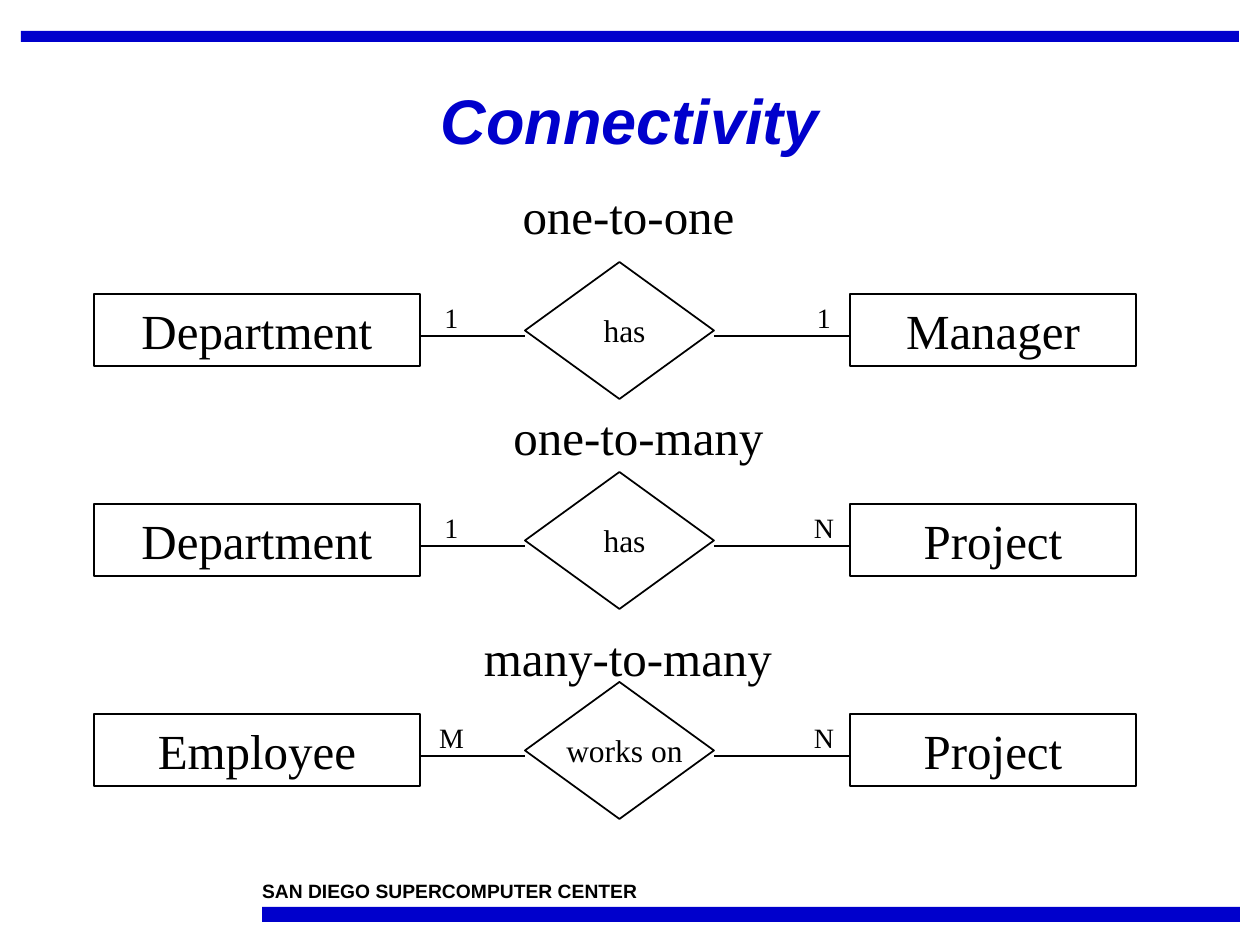
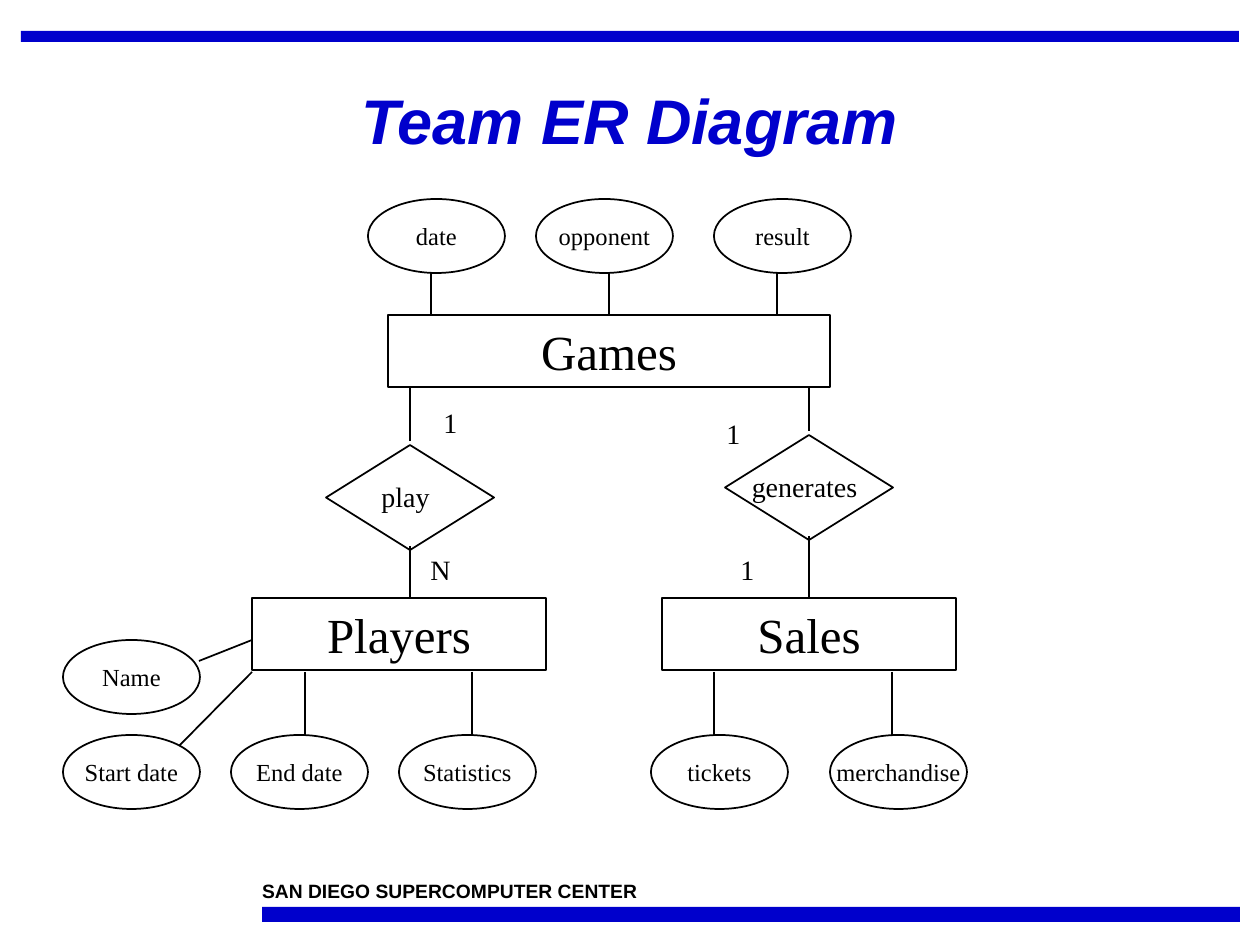
from pptx import Presentation
from pptx.dml.color import RGBColor
from pptx.enum.shapes import MSO_CONNECTOR, MSO_SHAPE as SHAPE
from pptx.enum.text import MSO_ANCHOR, PP_ALIGN
from pptx.oxml.ns import qn
from pptx.util import Pt
from lxml import etree

PX = 914400 / 126
BLUE = RGBColor(0x00, 0x00, 0xCC)
BLACK = RGBColor(0x00, 0x00, 0x00)
SERIF, SANS = "Times New Roman", "Arial"


def add_box(s, kind, x, y, w, h, text="", size=28):
    """Add an outlined shape, or a text box without margins when kind is None."""
    at = [round(v * PX) for v in (x, y, w, h)]
    if kind is None:
        sp = s.shapes.add_textbox(*at)
        tf = sp.text_frame
        tf.margin_left = tf.margin_top = tf.margin_right = tf.margin_bottom = 0
    else:
        sp = s.shapes.add_shape(kind, *at)
        sp.shadow.inherit = False
        sp.fill.background()
        sp.line.color.rgb = BLACK
        sp.line.width = Pt(1)
    if text:
        tf = sp.text_frame
        tf.word_wrap = False
        tf.vertical_anchor = MSO_ANCHOR.MIDDLE
        p = tf.paragraphs[0]
        p.text = text
        p.alignment = PP_ALIGN.CENTER
        p.font.name, p.font.size = SERIF, Pt(size)
        p.font.color.rgb = BLACK
    return sp


def add_line(s, x1, y1, x2, y2):
    ends = [round(v * PX) for v in (x1, y1, x2, y2)]
    line = s.shapes.add_connector(MSO_CONNECTOR.STRAIGHT, *ends)
    line.line.color.rgb = BLACK
    line.line.width = Pt(1)
    etree.SubElement(line.element.spPr, qn("a:effectLst"))
    return line


prs = Presentation()
prs.slide_width, prs.slide_height = round(1260 * PX), round(945 * PX)

# Title, bands and footer of every slide
slides = []
for title in ("Connectivity", "Team ER Diagram"):
    s = prs.slides.add_slide(prs.slide_layouts[5])
    slides.append(s)
    for x, y, w, h in ((21, 31, 1218, 11), (262, 907, 978, 15)):
        band = add_box(s, SHAPE.RECTANGLE, x, y, w, h)
        band.fill.solid()
        band.fill.fore_color.rgb = BLUE
        band.line.fill.background()

    footer = add_box(s, None, 262, 879, 472, 23, "SAN DIEGO SUPERCOMPUTER CENTER", 11)
    footer.text_frame.word_wrap = True
    p = footer.text_frame.paragraphs[0]
    p.alignment = PP_ALIGN.LEFT
    p.font.name, p.font.bold = SANS, True

    sp = s.shapes.title
    sp.left, sp.top, sp.width, sp.height = [round(v * PX) for v in (21, 52, 1218, 144)]
    sp.text_frame.vertical_anchor = MSO_ANCHOR.MIDDLE
    p = sp.text_frame.paragraphs[0]
    p.text = title
    p.alignment = PP_ALIGN.CENTER
    p.line_spacing = 0.9
    p.font.name, p.font.size = SANS, Pt(36)
    p.font.bold = p.font.italic = True
    p.font.color.rgb = BLUE

connectivity, team = slides

# Connectivity: one relationship per row
ROW_PITCH, HEADING_PITCH = 210, 221
rows = [
    # left entity, left count, relation, relation width, right count, right entity
    ("Department", "1", "has", 67, "1", "Manager"),
    ("Department", "1", "has", 67, "N", "Project"),
    ("Employee", "M", "works on", 141, "N", "Project"),
]
for i, (left, left_n, relation, relation_w, right_n, right) in enumerate(rows):
    y = 294 + i * ROW_PITCH
    add_box(connectivity, SHAPE.DIAMOND, 525, y - 32, 189, 137)
    add_box(connectivity, SHAPE.RECTANGLE, 94, y, 326, 72, left)
    add_box(connectivity, SHAPE.RECTANGLE, 850, y, 286, 72, right)
    add_line(connectivity, 714, y + 42, 850, y + 42)
    add_line(connectivity, 525, y + 42, 420, y + 42)
    add_box(connectivity, None, 624 - relation_w // 2, y + 11, relation_w, 50, relation, 18)
    add_box(connectivity, None, 798, y, 52, 46, right_n, 16)
    add_box(connectivity, None, 432, y, 39, 46, left_n, 16)

headings = [("one-to-one", 510, 237), ("one-to-many", 501, 275), ("many-to-many", 472, 312)]
for i, (heading, x, w) in enumerate(headings):
    add_box(connectivity, None, x, 179 + i * HEADING_PITCH, w, 72, heading)

# Team ER diagram: entities and relationships
add_box(team, SHAPE.RECTANGLE, 252, 598, 294, 72, "Players")
games = add_box(team, SHAPE.RECTANGLE, 388, 315, 442, 72, "Games")
sales = add_box(team, SHAPE.RECTANGLE, 662, 598, 294, 72, "Sales")

for relation, x, y in (("play", 326, 445), ("generates", 725, 435)):
    add_box(team, SHAPE.DIAMOND, x, y, 168, 105)
    add_box(team, None, x + 6, y + 28, 147, 46, relation, 16)

for count, x, y, w in (("N", 418, 546, 45), ("1", 728, 546, 39),
                       ("1", 431, 399, 39), ("1", 714, 410, 39)):
    add_box(team, None, x, y, w, 46, count, 16)

add_line(team, 809, 431, 809, 388)
add_line(team, 410, 441, 410, 388)
add_line(team, 410, 546, 410, 598)
add_line(team, 809, 536, 809, 598).end_connect(sales, 0)

# Attributes, by row of ellipses
attributes = {
    199: [("date", 368), ("opponent", 536), ("result", 714)],
    640: [("Name", 63)],
    735: [("Start date", 63), ("End date", 231), ("Statistics", 399),
          ("tickets", 651), ("merchandise", 830)],
}
for y, ellipses in attributes.items():
    for attribute, x in ellipses:
        add_box(team, SHAPE.OVAL, x, y, 137, 74, attribute, 14)

for x in (431, 777):
    add_line(team, x, 273, x, 315)
add_line(team, 609, 273, 609, 315).end_connect(games, 0)
for x in (305, 472, 714, 892):
    add_line(team, x, 672, x, 735)
add_line(team, 252, 672, 179, 746)
add_line(team, 252, 640, 199, 661)

prs.save("out.pptx")
